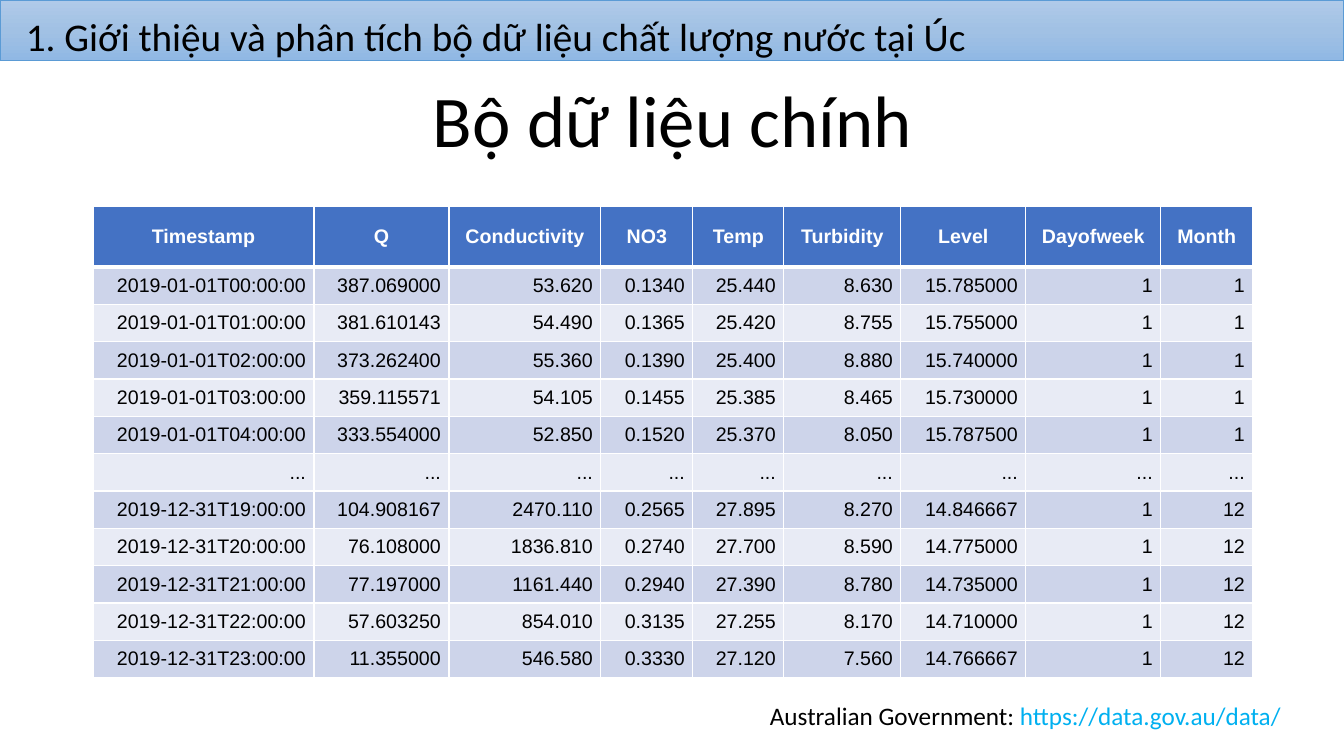
from pptx import Presentation
from pptx.dml.color import RGBColor
from pptx.enum.shapes import MSO_SHAPE
from pptx.enum.text import MSO_ANCHOR, MSO_AUTO_SIZE, PP_ALIGN
from pptx.oxml import parse_xml
from pptx.oxml.ns import nsdecls
from pptx.util import Emu, Pt
from copy import deepcopy

COLORS = {
    "black": "000000",
    "white": "FFFFFF",
    "header": "4472C4",
    "band_dark": "CDD4EA",
    "band_light": "E8EBF5",
    "banner_top": "B0CAE9",
    "banner_middle": "A1C1E4",
    "banner_bottom": "90B8E4",
    "banner_line": "5B9BD5",
    "link": "00B0F0",
}
HEADERS = ["Timestamp", "Q", "Conductivity", "NO3", "Temp", "Turbidity", "Level", "Dayofweek", "Month"]
RECORDS = [
    ["2019-01-01T00:00:00", "387.069000", "53.620", "0.1340", "25.440", "8.630", "15.785000", "1", "1"],
    ["2019-01-01T01:00:00", "381.610143", "54.490", "0.1365", "25.420", "8.755", "15.755000", "1", "1"],
    ["2019-01-01T02:00:00", "373.262400", "55.360", "0.1390", "25.400", "8.880", "15.740000", "1", "1"],
    ["2019-01-01T03:00:00", "359.115571", "54.105", "0.1455", "25.385", "8.465", "15.730000", "1", "1"],
    ["2019-01-01T04:00:00", "333.554000", "52.850", "0.1520", "25.370", "8.050", "15.787500", "1", "1"],
    ["..."] * len(HEADERS),
    ["2019-12-31T19:00:00", "104.908167", "2470.110", "0.2565", "27.895", "8.270", "14.846667", "1", "12"],
    ["2019-12-31T20:00:00", "76.108000", "1836.810", "0.2740", "27.700", "8.590", "14.775000", "1", "12"],
    ["2019-12-31T21:00:00", "77.197000", "1161.440", "0.2940", "27.390", "8.780", "14.735000", "1", "12"],
    ["2019-12-31T22:00:00", "57.603250", "854.010", "0.3135", "27.255", "8.170", "14.710000", "1", "12"],
    ["2019-12-31T23:00:00", "11.355000", "546.580", "0.3330", "27.120", "7.560", "14.766667", "1", "12"],
]
COLUMN_WIDTHS = [221, 135, 152, 92, 91, 117, 125, 135, 92]
HEADER_HEIGHT, RECORDS_HEIGHT = 61, 411


def px(length):
    return Emu(round(length * 914400 / 100.8))


def add_run(paragraph, text, size, color, font="Calibri", bold=False):
    run = paragraph.add_run()
    run.text = text
    run.font.name = font
    run.font.size = Pt(size)
    run.font.bold = bold
    run.font.color.rgb = RGBColor.from_string(COLORS[color])


presentation = Presentation()
presentation.slide_width, presentation.slide_height = px(1344), px(756)
slide = presentation.slides.add_slide(presentation.slide_layouts[5])

# Title
title = slide.shapes.title
title.left, title.top, title.width, title.height = px(93), px(61), px(1159), px(125)
title.text_frame.vertical_anchor = MSO_ANCHOR.MIDDLE
paragraph = title.text_frame.paragraphs[0]
paragraph.alignment = PP_ALIGN.CENTER
paragraph.line_spacing = 0.9
add_run(paragraph, "Bộ dữ liệu chính", 52, "black")

# Data table
table = slide.shapes.add_table(
    len(RECORDS) + 1, len(HEADERS), px(93), px(206),
    px(sum(COLUMN_WIDTHS)), px(HEADER_HEIGHT + RECORDS_HEIGHT),
).table
for column, width in zip(table.columns, COLUMN_WIDTHS):
    column.width = px(width)
for row_index, values in enumerate([HEADERS] + RECORDS):
    is_header = row_index == 0
    table.rows[row_index].height = px(HEADER_HEIGHT if is_header else RECORDS_HEIGHT / len(RECORDS))
    fill = "header" if is_header else ("band_light", "band_dark")[row_index % 2]
    for column_index, value in enumerate(values):
        cell = table.cell(row_index, column_index)
        cell.vertical_anchor = MSO_ANCHOR.MIDDLE
        cell.margin_left = cell.margin_right = px(8)
        cell.margin_top = cell.margin_bottom = px(4)
        paragraph = cell.text_frame.paragraphs[0]
        paragraph.alignment = PP_ALIGN.CENTER if is_header else PP_ALIGN.RIGHT
        add_run(paragraph, value, 14, "white" if is_header else "black", "Arial", is_header)
        properties = cell._tc.get_or_add_tcPr()
        for side in "LRTB":
            under_header = (row_index, side) in ((0, "B"), (1, "T"))
            properties.append(parse_xml(
                f'<a:ln{side} {nsdecls("a")} w="{Pt(3 if under_header else 1)}"><a:solidFill>'
                f'<a:srgbClr val="{COLORS["white"]}"/></a:solidFill></a:ln{side}>'
            ))
        cell.fill.solid()
        cell.fill.fore_color.rgb = RGBColor.from_string(COLORS[fill])

# Section banner
banner = slide.shapes.add_shape(MSO_SHAPE.RECTANGLE, 0, 0, px(1344), px(61))
banner.shadow.inherit = False
banner.fill.gradient()
banner.fill.gradient_angle = 270
first_stop = banner.fill._fill._gradFill.gsLst[0]
first_stop.addnext(deepcopy(first_stop))
banner_colors = ("banner_top", "banner_middle", "banner_bottom")
for stop, position, color in zip(banner.fill.gradient_stops, (0, 0.5, 1), banner_colors):
    stop.position = position
    stop.color.rgb = RGBColor.from_string(COLORS[color])
banner.line.color.rgb = RGBColor.from_string(COLORS["banner_line"])
banner.line.width = Pt(0.75)

# Section heading and data source
captions = [
    ((16, 7, 1099, 57), 28, [("1. Giới thiệu và phân tích bộ dữ liệu chất lượng nước tại Úc", "black")]),
    ((760, 695, 566, 40), 18, [("Australian Government: ", "black"), ("https://data.gov.au/data/", "link")]),
]
for box, size, runs in captions:
    text_frame = slide.shapes.add_textbox(*map(px, box)).text_frame
    text_frame.word_wrap = True
    text_frame.auto_size = MSO_AUTO_SIZE.SHAPE_TO_FIT_TEXT
    for text, color in runs:
        add_run(text_frame.paragraphs[0], text, size, color)

presentation.save("out.pptx")
